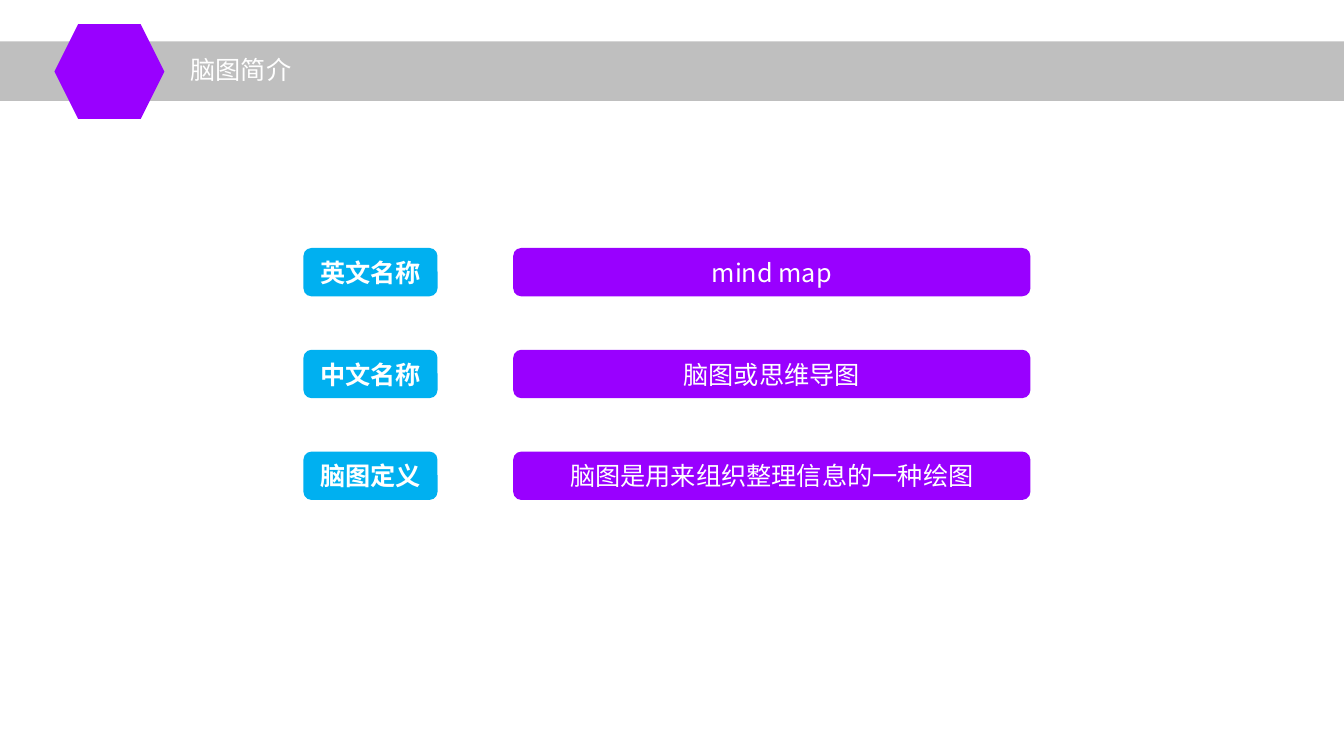
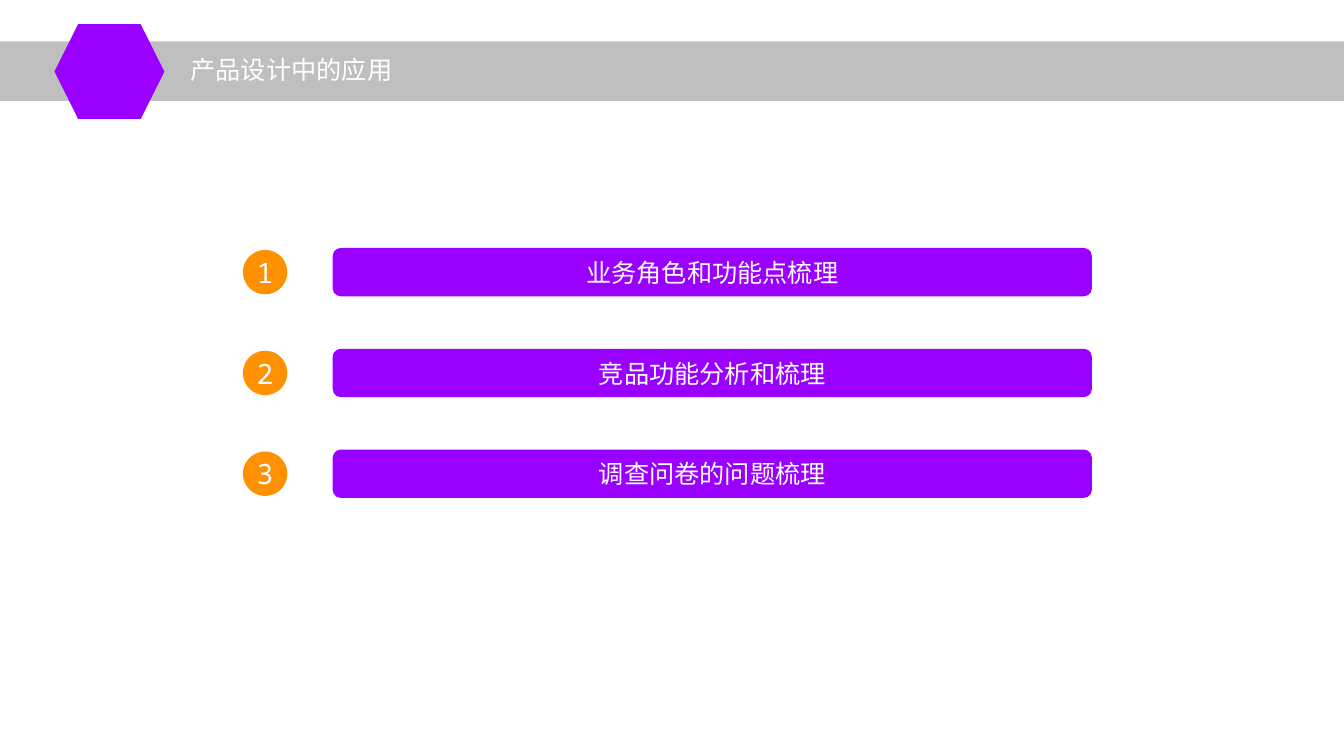
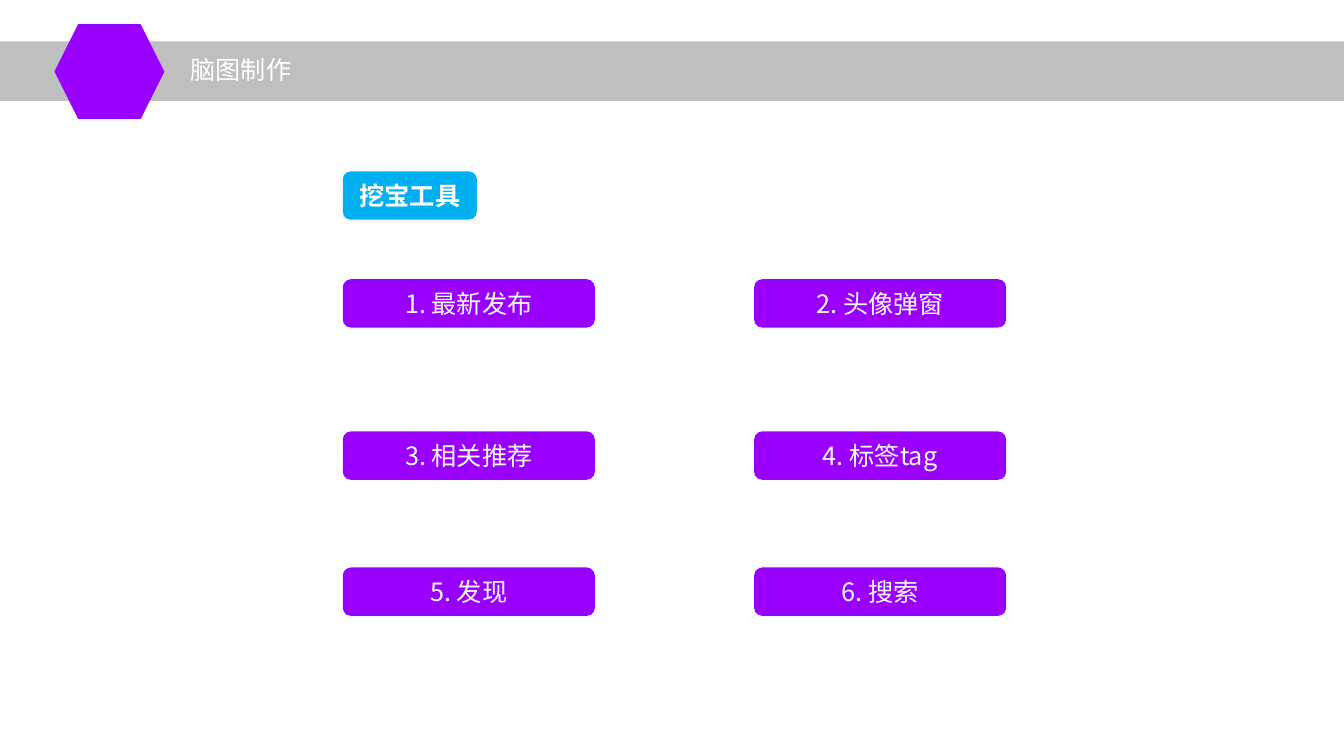
"""Build three slides that introduce mind maps and their uses."""
from lxml import etree
from pptx import Presentation
from pptx.dml.color import RGBColor
from pptx.enum.shapes import MSO_SHAPE
from pptx.enum.text import MSO_ANCHOR, MSO_AUTO_SIZE, PP_ALIGN
from pptx.oxml.ns import qn
from pptx.util import Inches, Pt

RECT, HEXAGON = MSO_SHAPE.RECTANGLE, MSO_SHAPE.HEXAGON
ROUNDED, OVAL = MSO_SHAPE.ROUNDED_RECTANGLE, MSO_SHAPE.OVAL
MIDDLE, NO_FIT = MSO_ANCHOR.MIDDLE, MSO_AUTO_SIZE.NONE
LEFT, CENTER = PP_ALIGN.LEFT, PP_ALIGN.CENTER

COLORS = {"band": "BFBFBF", "purple": "9900FF", "blue": "00B0F0",
          "orange": "FF9100", "white": "FFFFFF"}
FONT, NUMBER_FONT = "Noto Sans CJK SC", "Noto Sans Mono"
SLIDE_W, SLIDE_H = 13.33, 7.5
BAR_H, LABEL_W, BADGE_SIZE = 0.48, 1.33, 0.44
ROWS_TOP = 2.46


def color(name):
    """Return the named colour."""
    return RGBColor.from_string(COLORS[name])


def write(sp, text, align=CENTER, size=18, bold=False, font=FONT):
    """Put one white, vertically centred paragraph into a shape."""
    tf = sp.text_frame
    tf.word_wrap = True
    tf.auto_size = NO_FIT
    tf.vertical_anchor = MIDDLE
    p = tf.paragraphs[0]
    p.text = text
    p.alignment = align
    p.font.name = font
    p.font.size = Pt(size)
    p.font.bold = bold
    p.font.color.rgb = color("white")
    props = p._p.get_or_add_pPr().find(qn("a:defRPr"))
    etree.SubElement(props, qn("a:ea")).set("typeface", font)


def add_block(slide, kind, x, y, w, h, fill):
    """Add a flat, borderless preset shape."""
    sp = slide.shapes.add_shape(kind, Inches(x), Inches(y), Inches(w), Inches(h))
    sp.shadow.inherit = False
    sp.fill.solid()
    sp.fill.fore_color.rgb = color(fill)
    sp.line.fill.background()
    return sp


def add_text_block(slide, kind, x, y, w, h, fill, text, **style):
    """Add a block that carries text without insets."""
    sp = add_block(slide, kind, x, y, w, h, fill)
    tf = sp.text_frame
    tf.margin_left = tf.margin_top = tf.margin_right = tf.margin_bottom = 0
    write(sp, text, **style)


def add_label(slide, x, y, text):
    """Add a blue label in bold."""
    add_text_block(slide, ROUNDED, x, y, LABEL_W, BAR_H, "blue", text, bold=True)


def add_bar(slide, x, y, w, text):
    """Add a purple text bar."""
    add_text_block(slide, ROUNDED, x, y, w, BAR_H, "purple", text)


def add_badge(slide, x, y, number):
    """Add an orange number badge centred on a bar at y."""
    add_text_block(slide, OVAL, x, y + (BAR_H - BADGE_SIZE) / 2, BADGE_SIZE,
                   BADGE_SIZE, "orange", str(number), size=20, font=NUMBER_FONT)


def add_titled_slide(prs, layout, title):
    """Add a slide with its title placed on the band."""
    slide = prs.slides.add_slide(layout)
    sp = slide.shapes.title
    sp.left, sp.top, sp.width, sp.height = map(Inches, (1.79, 0.44, 5.59, 0.5))
    write(sp, title, align=LEFT)
    return slide


def move_band_to_layout(slide, layout):
    """Draw the title band and hexagon and hand them to the shared layout."""
    band = add_block(slide, RECT, 0, 0.41, SLIDE_W, 0.59, "band")
    hexagon = add_block(slide, HEXAGON, 0.54, 0.24, 1.09, 0.94, "purple")
    hexagon.adjustments[0] = 0.25
    for i, sp in enumerate((band, hexagon)):
        sp._element.nvSpPr.cNvPr.id = 20 + i
        layout.shapes._spTree.insert(2 + i, sp._element)


def fill_intro(slide):
    """Fill the introduction with labelled definitions."""
    rows = [("英文名称", "mind map"), ("中文名称", "脑图或思维导图"),
            ("脑图定义", "脑图是用来组织整理信息的一种绘图")]
    for i, (label, text) in enumerate(rows):
        y = ROWS_TOP + i * 1.01
        add_label(slide, 3.01, y, label)
        add_bar(slide, 5.09, y, 5.13, text)


def fill_uses(slide):
    """Fill the numbered list of uses."""
    uses = ["业务角色和功能点梳理", "竞品功能分析和梳理", "调查问卷的问题梳理"]
    for i, text in enumerate(uses):
        y = ROWS_TOP + i
        add_bar(slide, 3.3, y, 7.53, text)
        add_badge(slide, 2.41, y, i + 1)


def fill_making(slide):
    """Fill the two-column grid of tool features."""
    features = ["最新发布", "头像弹窗", "相关推荐", "标签tag", "发现", "搜索"]
    columns, rows = (3.4, 7.48), (2.77, 4.28, 5.63)
    add_label(slide, columns[0], 1.7, "挖宝工具")
    for i, text in enumerate(features):
        row, column = divmod(i, 2)
        add_bar(slide, columns[column], rows[row], 2.5, f"{i + 1}. {text}")


def main():
    """Build and save the presentation."""
    prs = Presentation()
    prs.slide_width, prs.slide_height = Inches(SLIDE_W), Inches(SLIDE_H)
    layout = prs.slide_layouts[5]
    pages = [("脑图简介", fill_intro), ("产品设计中的应用", fill_uses),
             ("脑图制作", fill_making)]
    for title, fill in pages:
        fill(add_titled_slide(prs, layout, title))
    move_band_to_layout(prs.slides[0], layout)
    prs.save("out.pptx")


if __name__ == "__main__":
    main()
